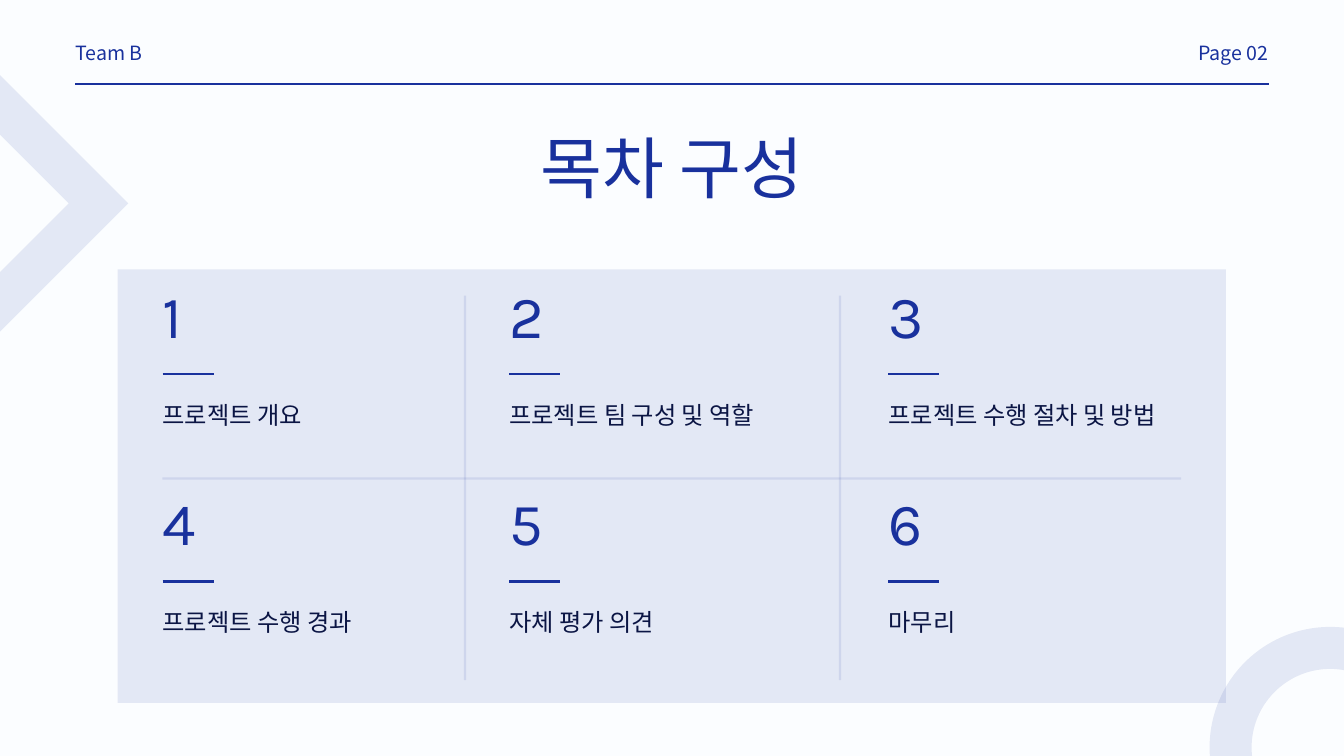
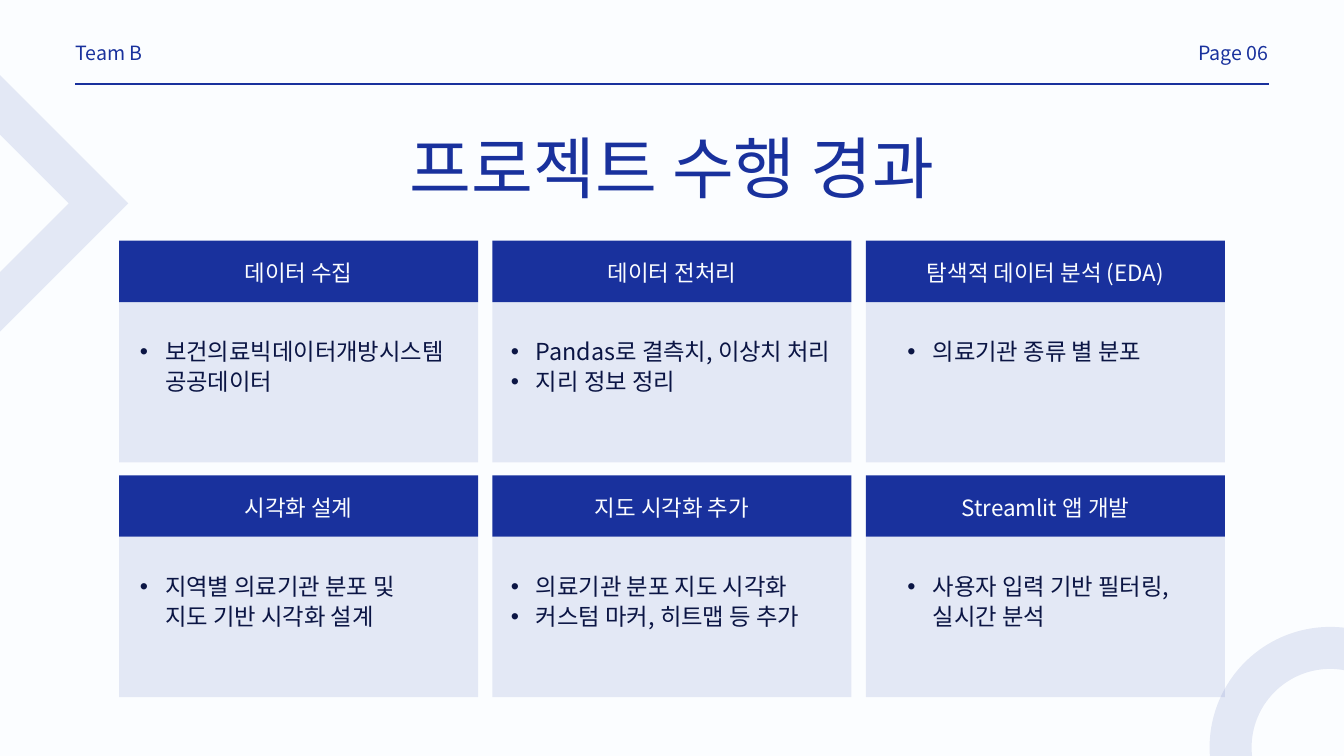
from dataclasses import dataclass

import pptx
import pptx.dml.color
import pptx.enum.shapes
import pptx.enum.text
import pptx.oxml
import pptx.oxml.ns
import pptx.util

Pt = pptx.util.Pt
SHAPE = pptx.enum.shapes.MSO_SHAPE
ALIGN = pptx.enum.text.PP_ALIGN


@dataclass(frozen=True)
class TextStyle:
    size: float
    spacing: float
    color: str
    font: str = "Noto Sans CJK KR"


class Theme:
    paper = "FBFDFF"
    blue = "19319D"
    ink = "0B1544"
    tint = 10  # opacity of pale parts, in percent
    hangul = "Noto Sans CJK KR"
    rule = 2.25
    ornament = 45
    title = TextStyle(72, 70.5, blue, "Karla")
    number = TextStyle(64, 62.7, blue, "Karla")
    topic = TextStyle(26, 36.7, ink)
    heading = TextStyle(24, 36.7, paper)
    bullet = TextStyle(25, 32.1, ink)
    running = TextStyle(21, 32.1, blue)


# Slide size and regions: left, top, width, height
WIDTH, HEIGHT = 1440, 810
HEADER = (80.64, 37.44, 1278.72, 52.56)
TITLE = (389.5, 151, 661, 72)
CONTENTS = (126, 288.75, 1187.5, 464.4)
CARDS = (127.6, 257.8, 1184.8, 489.2)

TOPICS = ["프로젝트 개요", "프로젝트 팀 구성 및 역할", "프로젝트 수행 절차 및 방법",
          "프로젝트 수행 경과", "자체 평가 의견", "마무리"]

# Heading, width of the bullet text, bullets
STAGES = [
    ("데이터 수집", 344, ["보건의료빅데이터개방시스템 공공데이터"]),
    ("데이터 전처리", 353, ["Pandas로 결측치, 이상치 처리", "지리 정보 정리"]),
    ("탐색적 데이터 분석 (EDA)", 297, ["의료기관 종류 별 분포"]),
    ("시각화 설계", 297, ["지역별 의료기관 분포 및 지도 기반 시각화 설계"]),
    ("지도 시각화 추가", 353, ["의료기관 분포 지도 시각화", "커스텀 마커, 히트맵 등 추가"]),
    ("Streamlit 앱 개발", 297, ["사용자 입력 기반 필터링, 실시간 분석"]),
]


def rgb(color):
    return pptx.dml.color.RGBColor.from_string(color)


def add_child(parent, tag, **attributes):
    child = pptx.oxml.parse_xml(f"<a:{tag} {pptx.oxml.ns.nsdecls('a')}/>")
    for name, value in attributes.items():
        child.set(name, str(value))
    parent.append(child)


def make_pale(part):
    for color in part._element.spPr.iter(pptx.oxml.ns.qn("a:srgbClr")):
        add_child(color, "alpha", val=Theme.tint * 1000)


def add_text(slide, box, paragraphs, style, align=ALIGN.LEFT, bulleted=False):
    frame = slide.shapes.add_textbox(*map(Pt, box)).text_frame
    frame.word_wrap = True
    frame.auto_size = pptx.enum.text.MSO_AUTO_SIZE.SHAPE_TO_FIT_TEXT
    frame.margin_left = frame.margin_right = frame.margin_top = frame.margin_bottom = 0
    for index, words in enumerate(paragraphs):
        paragraph = frame.paragraphs[0] if index == 0 else frame.add_paragraph()
        paragraph.text = words
        paragraph.alignment = align
        paragraph.line_spacing = Pt(style.spacing)
        if bulleted:
            properties = paragraph._p.get_or_add_pPr()
            properties.set("marL", str(Pt(27)))
            properties.set("indent", str(-Pt(27)))
            add_child(properties, "buFont", typeface="Arial")
            add_child(properties, "buChar", char="•")
        paragraph.font.size = Pt(style.size)
        paragraph.font.color.rgb = rgb(style.color)
        paragraph.font.name = style.font
        add_child(paragraph.font._element, "ea", typeface=Theme.hangul)


def add_rule(slide, x1, y1, x2, y2, pale=False):
    rule = slide.shapes.add_connector(
        pptx.enum.shapes.MSO_CONNECTOR.STRAIGHT, Pt(x1), Pt(y1), Pt(x2), Pt(y2))
    rule.line.color.rgb = rgb(Theme.blue)
    rule.line.width = Pt(Theme.rule)
    add_child(rule._element.spPr, "effectLst")
    if pale:
        make_pale(rule)


def add_panel(slide, box, pale=False):
    panel = slide.shapes.add_shape(SHAPE.RECTANGLE, *map(Pt, box))
    panel.shadow.inherit = False
    panel.fill.solid()
    panel.fill.fore_color.rgb = rgb(Theme.blue)
    panel.line.fill.background()
    if pale:
        make_pale(panel)


def add_ornament(slide, kind, box):
    ornament = slide.shapes.add_shape(kind, *map(Pt, box))
    ornament.shadow.inherit = False
    ornament.fill.background()
    ornament.line.color.rgb = rgb(Theme.blue)
    ornament.line.width = Pt(Theme.ornament)
    add_child(ornament._element.spPr.find(pptx.oxml.ns.qn("a:ln")), "miter", lim=800000)
    make_pale(ornament)


def add_header(slide, box, page):
    left, top, width, height = box
    label_width = 350.64
    add_text(slide, (left, top, label_width, 30), ["Team B"], Theme.running)
    add_text(slide, (left + width - label_width, top, label_width, 30),
             [f"Page {page:02}"], Theme.running, ALIGN.RIGHT)
    add_rule(slide, left, top + height, left + width, top + height)


def add_framed_slide(deck, page, title):
    """Blank slide with the background, ornaments, header and title."""
    slide = deck.slides.add_slide(deck.slide_layouts[6])
    slide.background.fill.solid()
    slide.background.fill.fore_color.rgb = rgb(Theme.paper)
    add_ornament(slide, SHAPE.OVAL, (1318.5, 694.2, 213.4, 213.4))
    add_ornament(slide, SHAPE.DIAMOND, (-105.6, 112.3, 211.2, 211.2))
    add_header(slide, HEADER, page)
    add_text(slide, TITLE, [title], Theme.title, ALIGN.CENTER)
    return slide


def add_contents(slide, box, topics):
    left, top, width, height = box
    add_panel(slide, box, pale=True)

    # Dividers between the cells
    for divider in (372.24, 774):
        add_rule(slide, left + divider, top + 28, left + divider, top + height - 24.5, pale=True)
    add_rule(slide, left + 48, top + 223.9, left + width - 48, top + 223.9, pale=True)

    # Numbered topics
    columns = (48.24, 419.76, 825.84)
    for index, topic in enumerate(topics):
        row, column = divmod(index, len(columns))
        x = left + columns[column]
        y = top + 23.75 + row * 222.6
        add_text(slide, (x, y, 90, 63), [str(index + 1)], Theme.number)
        add_rule(slide, x, y + 88, x + 54.72, y + 88)
        add_text(slide, (x, y + 110.4, 338, 35.3), [topic], Theme.topic)


def add_card(slide, box, heading, bullet_box, bullets):
    left, top, width, height = box
    band = 65.8
    add_panel(slide, (left, top + band, width, height - band), pale=True)
    add_panel(slide, (left, top, width, band))
    add_text(slide, (left, top + 12.24, width, 34.6), [heading], Theme.heading, ALIGN.CENTER)
    indent, text_width = bullet_box
    add_text(slide, (left + indent, top + 101.5, text_width, 32.1 * len(bullets)),
             bullets, Theme.bullet, bulleted=True)


def add_cards(slide, box, stages):
    left, top, width, height = box
    gap_x, gap_y = 15.4, 13.8
    indents = (22.3, 19.6, 44.6)
    card_width = (width - 2 * gap_x) / 3
    card_height = (height - gap_y) / 2
    for index, (heading, text_width, bullets) in enumerate(stages):
        row, column = divmod(index, 3)
        card = (left + column * (card_width + gap_x), top + row * (card_height + gap_y),
                card_width, card_height)
        add_card(slide, card, heading, (indents[column], text_width), bullets)


def main():
    deck = pptx.Presentation()
    deck.slide_width, deck.slide_height = Pt(WIDTH), Pt(HEIGHT)
    add_contents(add_framed_slide(deck, 2, "목차 구성"), CONTENTS, TOPICS)
    add_cards(add_framed_slide(deck, 6, "프로젝트 수행 경과"), CARDS, STAGES)
    deck.save("out.pptx")


if __name__ == "__main__":
    main()
